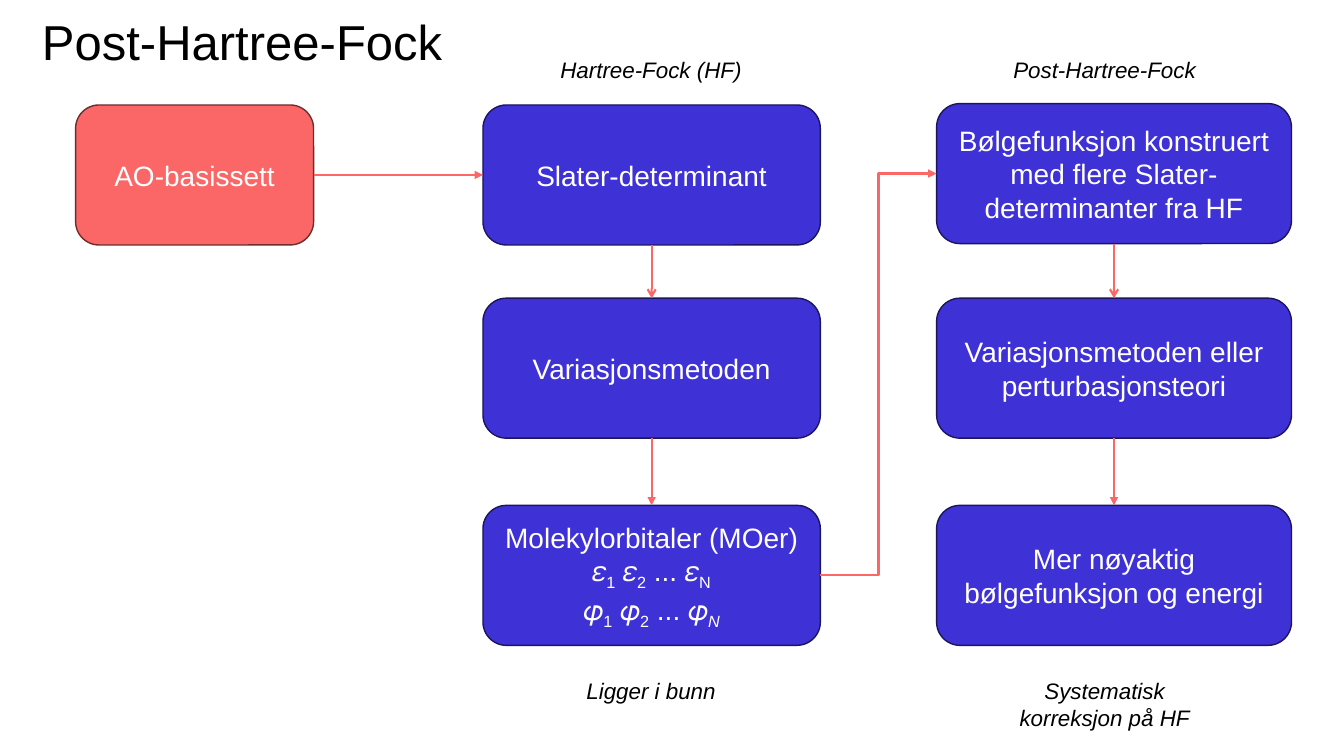
from dataclasses import dataclass

from lxml.etree import SubElement
from pptx import Presentation
from pptx.dml.color import RGBColor
from pptx.enum.shapes import MSO_CONNECTOR, MSO_SHAPE
from pptx.enum.text import MSO_ANCHOR, MSO_AUTO_SIZE, PP_ALIGN
from pptx.oxml.ns import qn
from pptx.util import Pt


@dataclass(frozen=True)
class Theme:
    font: str = "Arial"
    ink: str = "000000"
    inverse: str = "FFFFFF"
    step: tuple = ("3E31D6", "1B155E")
    start: tuple = ("FB6666", "6E2D2D")
    arrow: str = "FB6666"
    title_size: float = 35
    box_size: float = 20
    caption_size: float = 16
    outline: float = 1
    arrow_width: float = 1.5


def rgb(value):
    return RGBColor.from_string(value)


def apply(target, formats):
    for name, value in formats.items():
        setattr(target, name, value)


class FlowSlide:
    def __init__(self, slide, theme):
        self.slide, self.theme = slide, theme

    def style(self, font, size, color, **formats):
        apply(font, {"name": self.theme.font, "size": Pt(size), **formats})
        font.color.rgb = rgb(color)

    def title(self, text, left, top, width, height):
        heading = self.slide.shapes.title
        apply(heading, {"left": Pt(left), "top": Pt(top),
                        "width": Pt(width), "height": Pt(height)})
        frame = heading.text_frame
        apply(frame, {"margin_left": 0, "margin_top": 0, "margin_right": 0,
                      "margin_bottom": 0, "vertical_anchor": MSO_ANCHOR.TOP,
                      "auto_size": MSO_AUTO_SIZE.NONE, "word_wrap": True})
        line = frame.paragraphs[0]
        apply(line, {"alignment": PP_ALIGN.LEFT, "line_spacing": 0.9})
        run = line.add_run()
        run.text = text
        self.style(run.font, self.theme.title_size, self.theme.ink)

    def box(self, text, left, top, width, height, colors):
        box = self.slide.shapes.add_shape(
            MSO_SHAPE.ROUNDED_RECTANGLE, Pt(left), Pt(top), Pt(width), Pt(height))
        fill, outline = colors
        box.shadow.inherit = False
        box.fill.solid()
        box.fill.fore_color.rgb = rgb(fill)
        box.line.color.rgb = rgb(outline)
        box.line.width = Pt(self.theme.outline)
        apply(box.text_frame, {"word_wrap": True, "vertical_anchor": MSO_ANCHOR.MIDDLE})
        line = box.text_frame.paragraphs[0]
        line.alignment = PP_ALIGN.CENTER
        self.box_run(line, text)
        return box

    def box_run(self, line, text, subscript=False, italic=False):
        run = line.add_run()
        run.text = text
        self.style(run.font, self.theme.box_size, self.theme.inverse, italic=italic)
        if subscript:
            run._r.get_or_add_rPr().set("baseline", "-25000")

    def orbital_series(self, line, symbol, italic_end=False):
        """Write symbol₁ symbol₂ ... symbol_N."""
        for lead, index in (("", "1"), (" ", "2"), (" ... ", "N")):
            self.box_run(line, lead + symbol)
            self.box_run(line, index, True, italic_end and index == "N")

    def caption(self, text, left, top, width, height):
        caption = self.slide.shapes.add_textbox(
            Pt(left), Pt(top), Pt(width), Pt(height))
        apply(caption.text_frame, {"word_wrap": True,
                                   "auto_size": MSO_AUTO_SIZE.SHAPE_TO_FIT_TEXT})
        line = caption.text_frame.paragraphs[0]
        line.alignment = PP_ALIGN.CENTER
        run = line.add_run()
        run.text = text
        self.style(run.font, self.theme.caption_size, self.theme.ink, italic=True)

    def arrow(self, source, target, sites, head="triangle", kind=MSO_CONNECTOR.STRAIGHT):
        arrow = self.slide.shapes.add_connector(kind, 0, 0, 0, 0)
        arrow.begin_connect(source, sites[0])
        arrow.end_connect(target, sites[1])
        arrow.line.color.rgb = rgb(self.theme.arrow)
        arrow.line.width = Pt(self.theme.arrow_width)
        SubElement(arrow.line._get_or_add_ln(), qn("a:tailEnd"), type=head)
        SubElement(arrow._element.spPr, qn("a:effectLst"))


DOWN, ACROSS = (2, 0), (3, 1)  # connection sites: top 0, left 1, bottom 2, right 3
BOX_HEIGHT = 100
ROW_TOPS = (75, 213, 361)
CAPTION_WIDTH, CAPTION_TOP, CAPTION_BOTTOM = 170, 36.5, 480

METHODS = (
    dict(left=345, width=241, lift=0, caption_left=380,
         heading="Hartree-Fock (HF)", footing="Ligger i bunn", footing_height=26.5,
         steps=("Slater-determinant", "Variasjonsmetoden", "Molekylorbitaler (MOer)")),
    dict(left=669, width=253.5, lift=1, caption_left=704,
         heading="Post-Hartree-Fock", footing="Systematisk korreksjon på HF",
         footing_height=46,
         steps=("Bølgefunksjon konstruert med flere Slater-determinanter fra HF",
                "Variasjonsmetoden eller perturbasjonsteori",
                "Mer nøyaktig bølgefunksjon og energi")),
)


def draw_method(flow, method):
    """Draw one column of steps with its captions; return the boxes."""
    lifts = (method["lift"], 0, 0)
    boxes = [flow.box(text, method["left"], top - lift, method["width"],
                      BOX_HEIGHT, flow.theme.step)
             for text, top, lift in zip(method["steps"], ROW_TOPS, lifts)]
    for source, target, head in zip(boxes, boxes[1:], ("arrow", "triangle")):
        flow.arrow(source, target, DOWN, head)
    left = method["caption_left"]
    flow.caption(method["heading"], left, CAPTION_TOP, CAPTION_WIDTH, 26.5)
    flow.caption(method["footing"], left, CAPTION_BOTTOM, CAPTION_WIDTH,
                 method["footing_height"])
    return boxes


def main():
    deck = Presentation()
    apply(deck, {"slide_width": Pt(960), "slide_height": Pt(540)})
    flow = FlowSlide(deck.slides.add_slide(deck.slide_layouts[5]), Theme())
    flow.title("Post-Hartree-Fock", 30, 13, 900, 59)

    basis_set = flow.box("AO-basissett", 54, ROW_TOPS[0], 170, BOX_HEIGHT,
                         flow.theme.start)
    hartree_fock, post_hartree_fock = [draw_method(flow, m) for m in METHODS]

    orbitals = hartree_fock[-1]
    series = orbitals.text_frame.add_paragraph()
    series.alignment = PP_ALIGN.CENTER
    flow.orbital_series(series, "𝜀")
    series.add_line_break()
    flow.orbital_series(series, "𝜑", italic_end=True)

    flow.arrow(basis_set, hartree_fock[0], ACROSS)
    flow.arrow(orbitals, post_hartree_fock[0], ACROSS, kind=MSO_CONNECTOR.ELBOW)
    deck.save("out.pptx")


if __name__ == "__main__":
    main()
